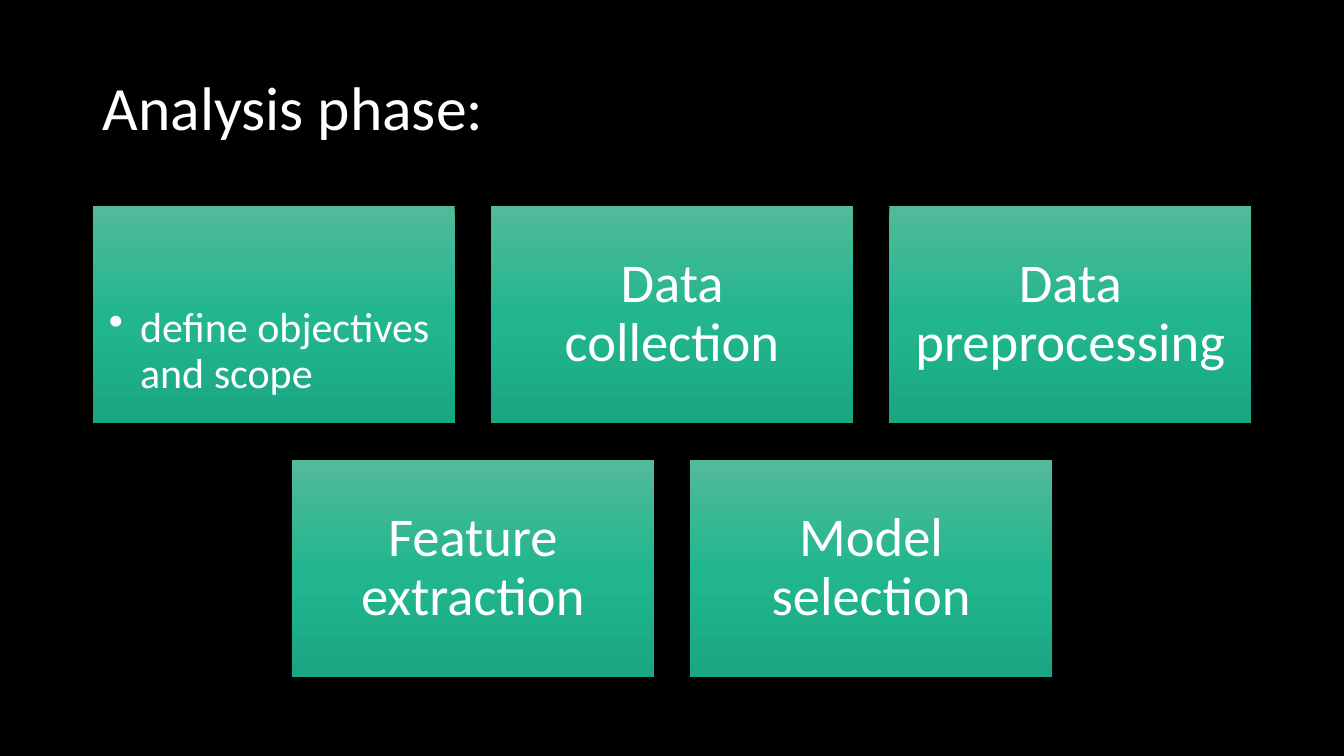
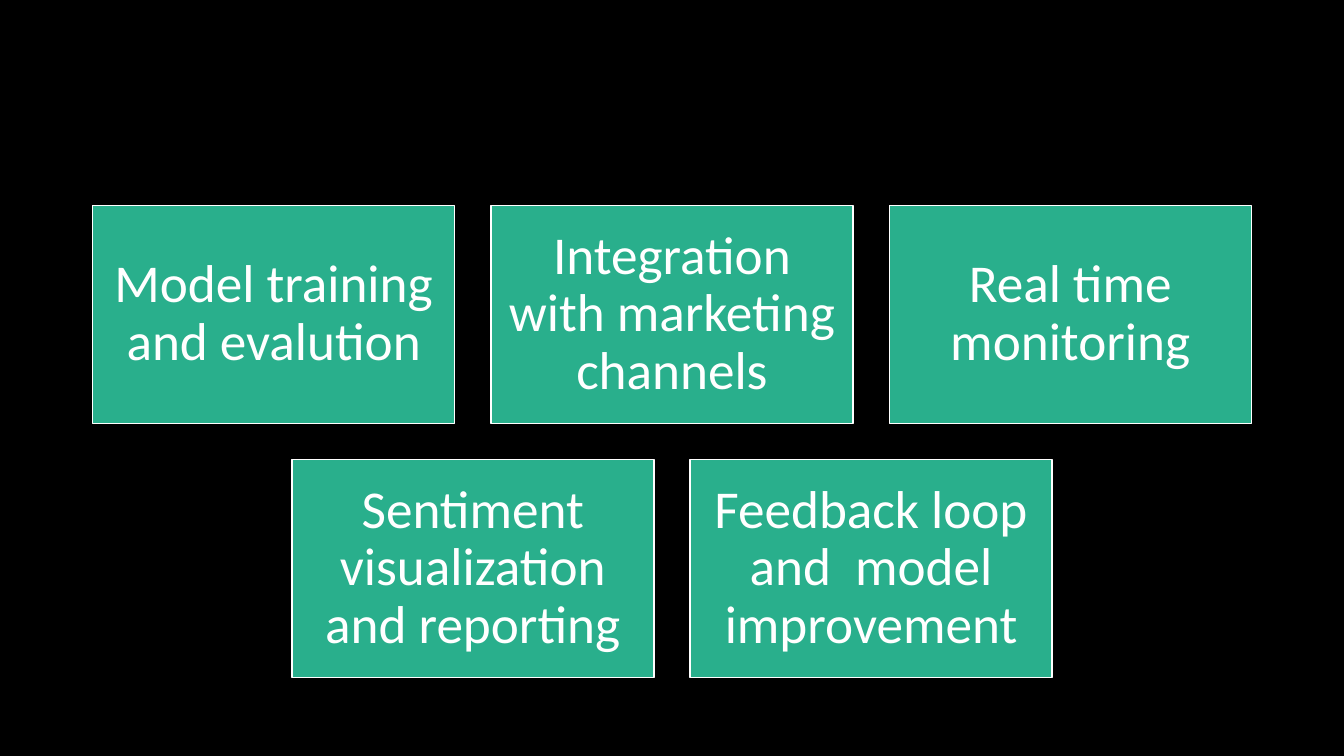
"""Build two slides of process boxes laid out in centred rows on black."""
from copy import deepcopy

from pptx import Presentation
from pptx.dml.color import RGBColor
from pptx.enum.shapes import MSO_SHAPE
from pptx.enum.text import MSO_ANCHOR, PP_ALIGN
from pptx.oxml.ns import qn
from pptx.util import Inches, Pt

BLACK = RGBColor(0x00, 0x00, 0x00)
WHITE = RGBColor(0xFF, 0xFF, 0xFF)
GREEN = RGBColor(0x29, 0xAF, 0x8C)
GRADIENT = [(0, RGBColor(0x52, 0xBA, 0x9A)),
            (0.5, RGBColor(0x22, 0xB6, 0x8F)),
            (1, RGBColor(0x19, 0xA7, 0x82))]
FONT = "Calibri"

SLIDES = [
    {"title": "Analysis phase:", "size": 39, "gradient": True,
     "bulleted": ["define objectives and scope"],
     "rows": [["define objectives and scope", "Data collection", "Data preprocessing"],
              ["Feature extraction", "Model selection"]]},
    {"title": None, "size": 38, "gradient": False, "bulleted": [],
     "rows": [["Model training and evalution", "Integration with marketing channels",
               "Real time monitoring"],
              ["Sentiment visualization and reporting",
               "Feedback loop and  model improvement"]]},
]

SLIDE_W, SLIDE_H = 13.33, 7.5
BOX_W, BOX_H, GAP = 3.59, 2.16, 0.36
ROWS_TOP = 2.04
INSET = 0.16
BULLET_TOP, BULLET_SIZE, BULLET_INDENT = 1.0, 30, 0.31


def write(s, text, size=39, align=PP_ALIGN.CENTER, anchor=MSO_ANCHOR.MIDDLE,
          inset=INSET, top=None, bullet=False):
    tf = s.text_frame
    tf.word_wrap = True
    tf.vertical_anchor = anchor
    tf.margin_left = tf.margin_right = tf.margin_bottom = Inches(inset)
    tf.margin_top = Inches(inset if top is None else top)
    p = tf.paragraphs[0]
    p.alignment = align
    p.line_spacing = 0.9
    if bullet:
        pPr = p._p.get_or_add_pPr()
        pPr.set("marL", str(Inches(BULLET_INDENT)))
        pPr.set("indent", str(-Inches(BULLET_INDENT)))
        mark = pPr.makeelement(qn("a:buChar"), {"char": "•"})
        pPr.append(mark)
    r = p.add_run()
    r.text = text
    r.font.name = FONT
    r.font.size = Pt(size)
    r.font.color.rgb = WHITE


def fill_gradient(s):
    s.fill.gradient()
    s.fill.gradient_angle = 270
    stops = s._element.spPr.find(".//" + qn("a:gsLst"))
    stops.append(deepcopy(stops[0]))
    for stop, (position, color) in zip(s.fill.gradient_stops, GRADIENT):
        stop.position = position
        stop.color.rgb = color


def add_box(slide, left, top, gradient):
    s = slide.shapes.add_shape(MSO_SHAPE.RECTANGLE, Inches(left), Inches(top),
                               Inches(BOX_W), Inches(BOX_H))
    s.shadow.inherit = False
    if gradient:
        fill_gradient(s)
        s.line.fill.background()
    else:
        s.fill.solid()
        s.fill.fore_color.rgb = GREEN
        s.line.color.rgb = WHITE
        s.line.width = Pt(1)
    return s


def add_title(slide, text):
    s = slide.shapes.add_textbox(Inches(0.92), Inches(0.4), Inches(11.5), Inches(1.45))
    write(s, text, size=44, align=PP_ALIGN.LEFT, inset=0.1, top=0.05)


prs = Presentation()
prs.slide_width, prs.slide_height = Inches(SLIDE_W), Inches(SLIDE_H)
background = prs.slide_master.background.fill
background.solid()
background.fore_color.rgb = BLACK

for content in SLIDES:
    slide = prs.slides.add_slide(prs.slide_layouts[6])
    if content["title"]:
        add_title(slide, content["title"])
    for i, row in enumerate(content["rows"]):
        top = ROWS_TOP + i * (BOX_H + GAP)
        row_left = (SLIDE_W - len(row) * BOX_W - (len(row) - 1) * GAP) / 2
        for j, text in enumerate(row):
            s = add_box(slide, row_left + j * (BOX_W + GAP), top, content["gradient"])
            if text in content["bulleted"]:
                write(s, text, size=BULLET_SIZE, align=PP_ALIGN.LEFT,
                      anchor=MSO_ANCHOR.TOP, top=BULLET_TOP, bullet=True)
            else:
                write(s, text, size=content["size"])

prs.save("out.pptx")
